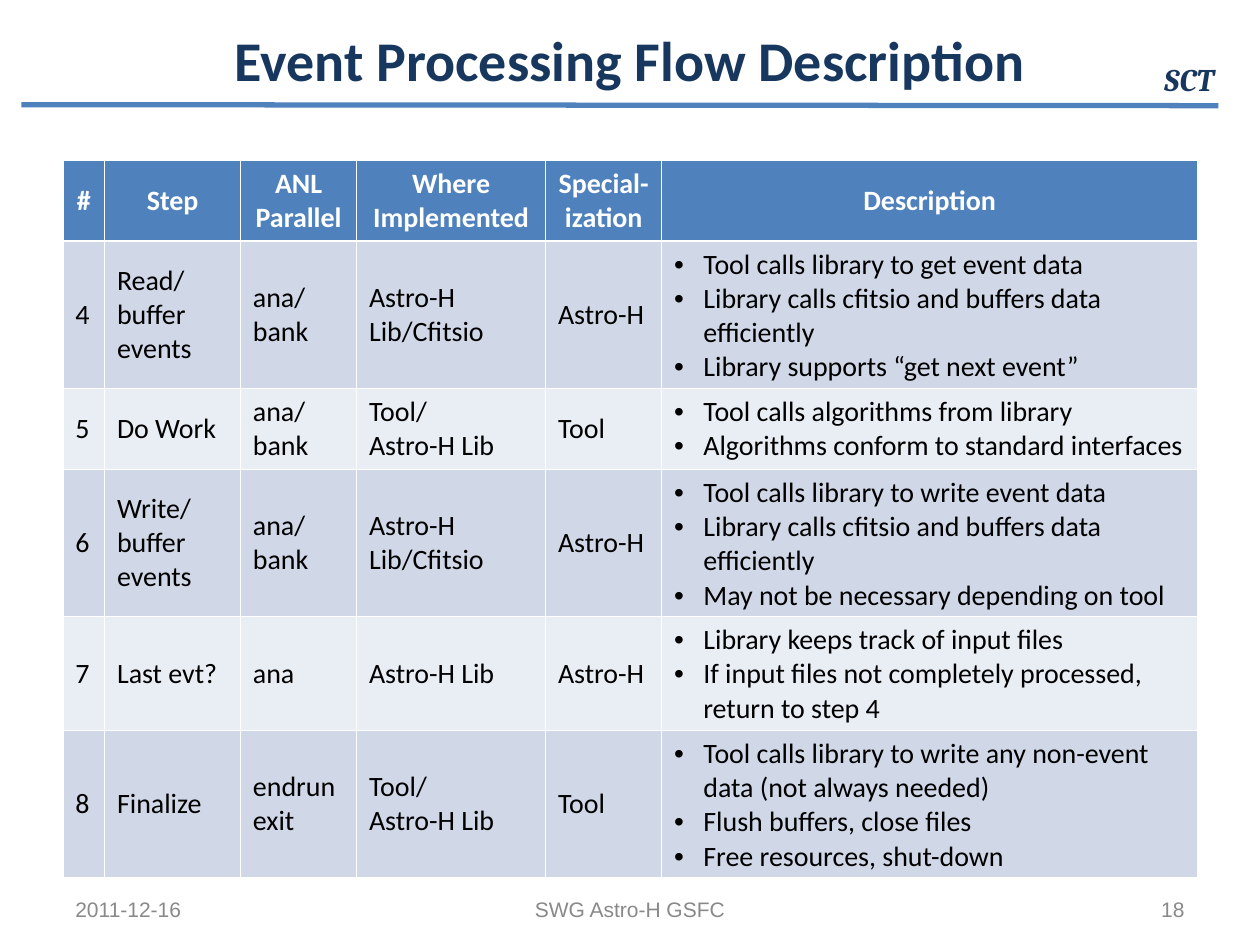
from lxml import etree
from pptx import Presentation
from pptx.dml.color import RGBColor
from pptx.enum.shapes import MSO_CONNECTOR
from pptx.enum.text import MSO_ANCHOR, PP_ALIGN
from pptx.oxml.ns import qn
from pptx.util import Cm, Pt

LEFT, CENTER, RIGHT = PP_ALIGN.LEFT, PP_ALIGN.CENTER, PP_ALIGN.RIGHT
MIDDLE = MSO_ANCHOR.MIDDLE
NAVY, BLUE, WHITE, BLACK, GRAY = "17375E", "4F81BD", "FFFFFF", "000000", "898989"
BANDS = ["D0D8E8", "E9EDF4"]


def color(value):
    return RGBColor.from_string(value)


def add_run(paragraph, text, size, font_name, font_color, bold=False, italic=False):
    run = paragraph.add_run()
    run.text = text
    run.font.size = Pt(size)
    run.font.name = font_name
    run.font.color.rgb = color(font_color)
    run.font.bold = bold
    run.font.italic = italic


presentation = Presentation()
presentation.slide_width = Cm(25.4)
presentation.slide_height = Cm(19.05)
slide = presentation.slides.add_slide(presentation.slide_layouts[5])

rule = slide.shapes.add_connector(MSO_CONNECTOR.STRAIGHT, Cm(0.43), Cm(2.11), Cm(24.56), Cm(2.13))
rule.line.color.rgb = color(BLUE)
rule.line.width = Pt(3)
etree.SubElement(rule.element.spPr, qn("a:effectLst"))

title = slide.shapes.title
title.left, title.top, title.width, title.height = Cm(1.27), Cm(0.2), Cm(22.86), Cm(1.98)
title.text_frame.vertical_anchor = MIDDLE
title_paragraph = title.text_frame.paragraphs[0]
title_paragraph.alignment = CENTER
add_run(title_paragraph, "Event Processing Flow Description", 32, "Calibri", NAVY, bold=True)

team_label = slide.shapes.add_textbox(Cm(23.22), Cm(1.09), Cm(1.68), Cm(1.02))
team_label.text_frame.word_wrap = False
add_run(team_label.text_frame.paragraphs[0], "SCT", 18, "Cambria", NAVY, bold=True, italic=True)

rows = [
    ["#", "Step", "ANL Parallel", "Where Implemented", "Special-ization", "Description"],
    ["4", "Read/buffer events", "ana/bank", "Astro-H Lib/Cfitsio", "Astro-H",
     "Tool calls library to get event data\n"
     "Library calls cfitsio and buffers data efficiently\n"
     "Library supports “get next event”"],
    ["5", "Do Work", "ana/bank", "Tool/\nAstro-H Lib", "Tool",
     "Tool calls algorithms from library\n"
     "Algorithms conform to standard interfaces"],
    ["6", "Write/buffer events", "ana/bank", "Astro-H Lib/Cfitsio", "Astro-H",
     "Tool calls library to write event data\n"
     "Library calls cfitsio and buffers data efficiently\n"
     "May not be necessary depending on tool"],
    ["7", "Last evt?", "ana", "Astro-H Lib", "Astro-H",
     "Library keeps track of input files\n"
     "If input files not completely processed, return to step 4"],
    ["8", "Finalize", "endrun\nexit", "Tool/\nAstro-H Lib", "Tool",
     "Tool calls library to write any non-event data (not always needed)\n"
     "Flush buffers, close files\n"
     "Free resources, shut-down"],
]
column_widths = [0.84, 2.74, 2.34, 3.81, 2.34, 10.8]
row_heights = [1.63, 2.97, 1.63, 2.97, 2.29, 2.97]
description_column = len(column_widths) - 1

table = slide.shapes.add_table(
    len(rows), len(column_widths), Cm(1.27), Cm(3.23), Cm(sum(column_widths)), Cm(sum(row_heights))
).table
for column, width in zip(table.columns, column_widths):
    column.width = Cm(width)

for row_index, (texts, height) in enumerate(zip(rows, row_heights)):
    table.rows[row_index].height = Cm(height)
    is_header = row_index == 0
    for column_index, text in enumerate(texts):
        cell = table.cell(row_index, column_index)
        cell.vertical_anchor = MIDDLE
        cell.margin_left = cell.margin_right = Cm(0.25)
        cell.margin_top = cell.margin_bottom = Cm(0.13)

        thick_side = {0: "a:lnB", 1: "a:lnT"}.get(row_index)
        for side in ("a:lnL", "a:lnR", "a:lnT", "a:lnB"):
            border_width = Pt(1.47) if side == thick_side else Pt(0.45)
            border = etree.SubElement(cell._tc.get_or_add_tcPr(), qn(side), w=str(border_width))
            border_fill = etree.SubElement(border, qn("a:solidFill"))
            etree.SubElement(border_fill, qn("a:srgbClr"), val=WHITE)
        cell.fill.solid()
        cell.fill.fore_color.rgb = color(BLUE if is_header else BANDS[(row_index - 1) % 2])

        for line_index, line in enumerate(text.split("\n")):
            frame = cell.text_frame
            paragraph = frame.add_paragraph() if line_index else frame.paragraphs[0]
            paragraph.alignment = CENTER if is_header else LEFT
            if column_index == description_column and not is_header:
                properties = paragraph._p.get_or_add_pPr()
                properties.set("marL", str(Cm(0.59)))
                properties.set("indent", str(-Cm(0.59)))
                etree.SubElement(properties, qn("a:buFont"), typeface="Arial")
                etree.SubElement(properties, qn("a:buChar"), char="•")
            add_run(paragraph, line, 16, "Calibri", WHITE if is_header else BLACK, bold=is_header)

footers = [
    ("2011-12-16", 1.27, 5.92, LEFT),
    ("SWG Astro-H GSFC", 8.68, 8.04, CENTER),
    ("18", 18.2, 5.93, RIGHT),
]
for text, left, width, alignment in footers:
    footer = slide.shapes.add_textbox(Cm(left), Cm(17.98), Cm(width), Cm(0.69))
    footer.text_frame.word_wrap = True
    footer.text_frame.vertical_anchor = MIDDLE
    paragraph = footer.text_frame.paragraphs[0]
    paragraph.alignment = alignment
    add_run(paragraph, text, 12, "Arial", GRAY)

presentation.save("out.pptx")
